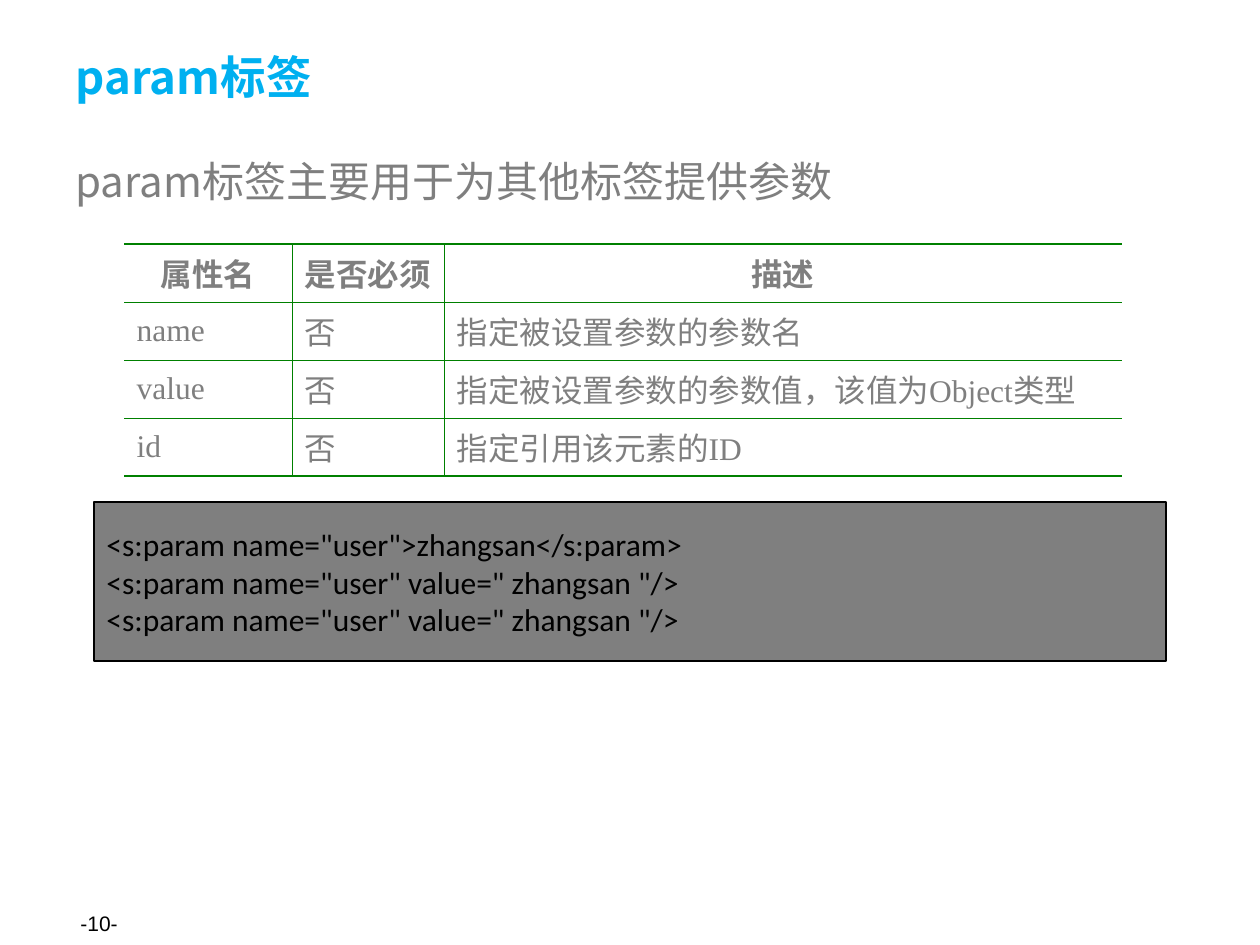
from lxml import etree
from pptx import Presentation
from pptx.dml.color import RGBColor
from pptx.enum.shapes import MSO_SHAPE
from pptx.enum.text import MSO_ANCHOR, MSO_AUTO_SIZE, PP_ALIGN
from pptx.oxml.ns import qn
from pptx.util import Emu, Pt

EMU_PER_PX = 914400 // 126
RECTANGLE = MSO_SHAPE.RECTANGLE
MIDDLE, TOP = MSO_ANCHOR.MIDDLE, MSO_ANCHOR.TOP
LEFT, CENTER = PP_ALIGN.LEFT, PP_ALIGN.CENTER
NO_AUTOFIT = MSO_AUTO_SIZE.NONE

COLORS = {"title": "00B0F0", "text": "7F7F7F", "code": "000000",
          "code_fill": "7F7F7F", "border": "008000"}
CJK_FONT = "Noto Sans CJK SC"
INNER_LINE, OUTER_LINE = 0.45, 1.08

ATTRIBUTES = [
    ["属性名", "是否必须", "描述"],
    ["name", "否", "指定被设置参数的参数名"],
    ["value", "否", "指定被设置参数的参数值，该值为Object类型"],
    ["id", "否", "指定引用该元素的ID"],
]
CODE_LINES = [
    '<s:param name="user">zhangsan</s:param>',
    '<s:param name="user" value=" zhangsan "/>',
    '<s:param name="user" value=" zhangsan "/>',
]


def px(length):
    return Emu(length * EMU_PER_PX)


def color(name):
    return RGBColor.from_string(COLORS[name])


def place(shape, left, top, width, height):
    shape.left, shape.top = px(left), px(top)
    shape.width, shape.height = px(width), px(height)


def write(text_frame, lines, font_name, size, color_name, bold=False,
          align=LEFT, anchor=MIDDLE):
    """Fill a text frame with one paragraph per line, all in one style."""
    text_frame.text = "\n".join(lines)
    text_frame.word_wrap = True
    text_frame.vertical_anchor = anchor
    for paragraph in text_frame.paragraphs:
        paragraph.alignment = align
        font = paragraph.font
        font.name, font.size, font.bold = font_name, Pt(size), bold
        font.color.rgb = color(color_name)
        latin = paragraph._p.pPr.find(qn("a:defRPr")).find(qn("a:latin"))
        east_asian = etree.Element(qn("a:ea"), typeface=CJK_FONT)
        latin.addnext(east_asian)


def add_title(slide, text):
    title = slide.shapes.title
    place(title, 63, 38, 1134, 77)
    write(title.text_frame, [text], CJK_FONT, 26, "title", bold=True)
    title.text_frame.auto_size = NO_AUTOFIT


def add_text(slide, text, bounds, font_name, size, color_name, anchor):
    box = slide.shapes.add_textbox(*map(px, bounds))
    write(box.text_frame, [text], font_name, size, color_name, anchor=anchor)
    return box


def set_borders(cell, widths):
    """Draw the cell's sides; a width of 0 leaves a side open."""
    properties = cell._tc.get_or_add_tcPr()
    for position, side in enumerate(("lnL", "lnR", "lnT", "lnB")):
        width = widths[position]
        line = etree.Element(qn(f"a:{side}"), w=str(Pt(width)))
        if width:
            fill = etree.SubElement(line, qn("a:solidFill"))
            etree.SubElement(fill, qn("a:srgbClr"), val=COLORS["border"])
        else:
            etree.SubElement(line, qn("a:noFill"))
        properties.insert(position, line)


def add_attribute_table(slide, rows, left, top, column_widths, row_height):
    last_row, last_column = len(rows) - 1, len(column_widths) - 1
    table = slide.shapes.add_table(
        len(rows), len(column_widths), px(left), px(top),
        px(sum(column_widths)), px(row_height * len(rows))).table
    table.first_row = table.horz_banding = False
    for column, width in zip(table.columns, column_widths):
        column.width = px(width)
    for r, values in enumerate(rows):
        header = r == 0
        for c, value in enumerate(values):
            cell = table.cell(r, c)
            write(cell.text_frame, [value], "Times New Roman", 18, "text",
                  bold=header, align=CENTER if header else LEFT)
            cell.vertical_anchor = MIDDLE
            cell.fill.background()
            set_borders(cell, (
                INNER_LINE if c > 0 else 0,
                INNER_LINE if c < last_column else 0,
                OUTER_LINE if header else INNER_LINE,
                OUTER_LINE if r == last_row else INNER_LINE))


def add_code_box(slide, lines, bounds):
    box = slide.shapes.add_shape(RECTANGLE, *map(px, bounds))
    box.shadow.inherit = False
    box.fill.solid()
    box.fill.fore_color.rgb = color("code_fill")
    box.line.color.rgb = color("code")
    box.line.width = Pt(1)
    write(box.text_frame, lines, "Calibri", 18, "code")


def main():
    presentation = Presentation()
    presentation.slide_width, presentation.slide_height = px(1260), px(945)
    slide = presentation.slides.add_slide(presentation.slide_layouts[5])

    # Page number and title
    add_text(slide, "-10-", (68, 898, 294, 50), "Arial", 12, "code", MIDDLE)
    add_title(slide, "param标签")

    # Introduction
    introduction = add_text(slide, "param标签主要用于为其他标签提供参数",
                            (63, 155, 1143, 714), CJK_FONT, 24, "text", TOP)
    introduction.text_frame.paragraphs[0].line_spacing = 0.9

    # Attributes and sample code
    add_attribute_table(slide, ATTRIBUTES, 124, 244, (168, 152, 678), 58)
    add_code_box(slide, CODE_LINES, (94, 502, 1072, 159))

    presentation.save("out.pptx")


if __name__ == "__main__":
    main()
